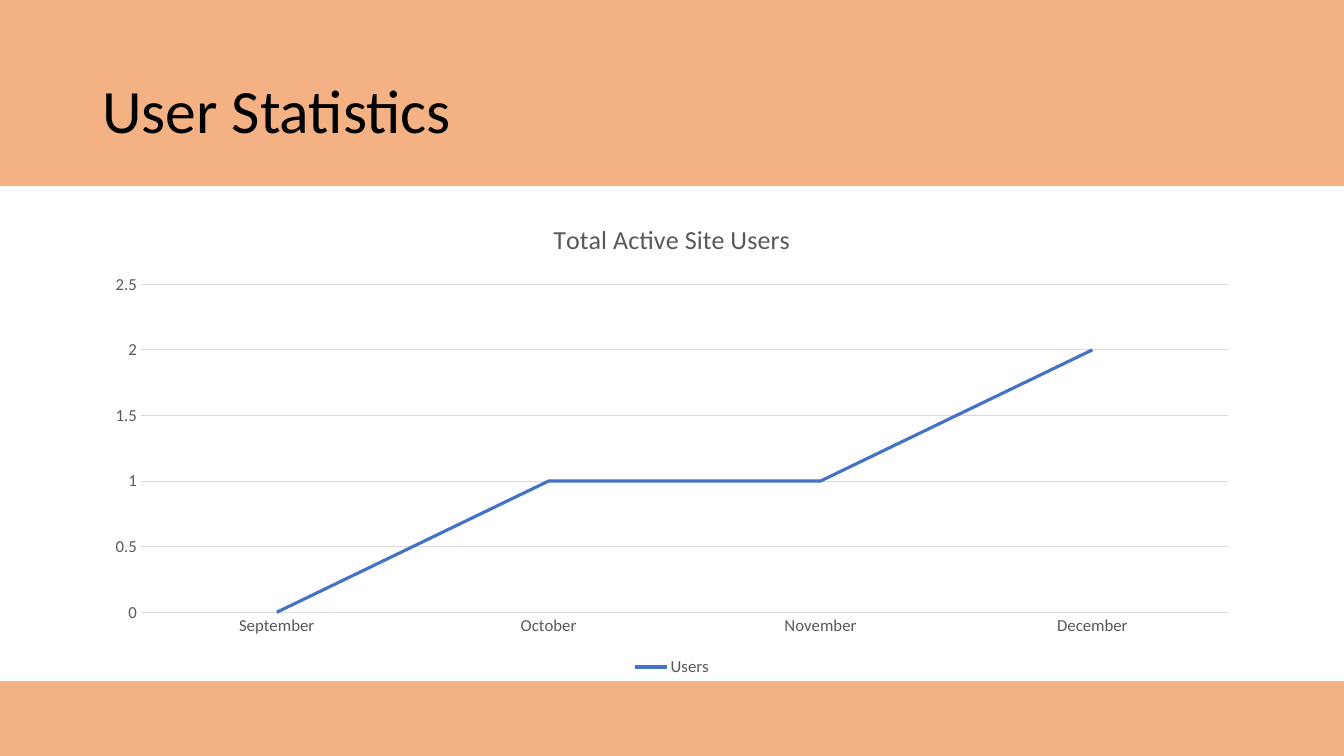
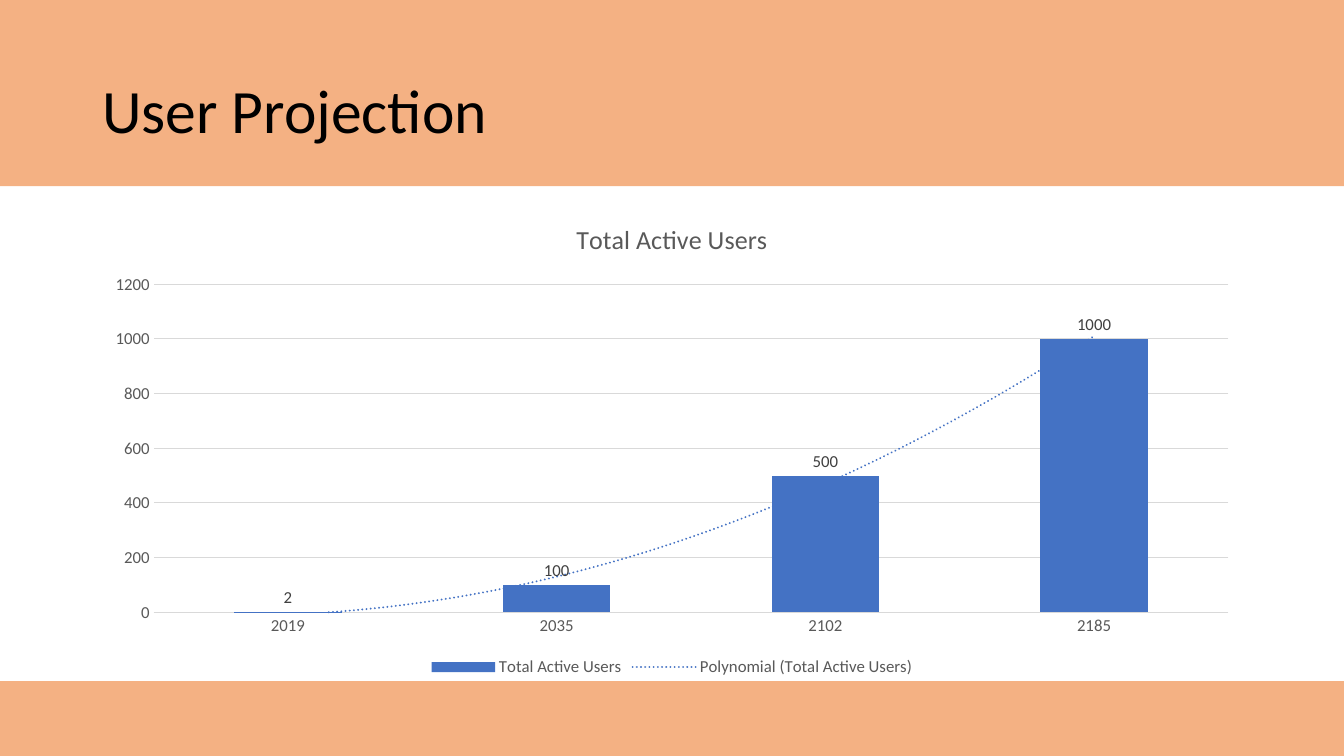
from dataclasses import dataclass

from lxml.etree import fromstring
from pptx import Presentation
from pptx.chart.data import CategoryChartData as ChartData
from pptx.dml.color import RGBColor as Color
from pptx.enum.chart import XL_CHART_TYPE as ChartType
from pptx.enum.chart import XL_LABEL_POSITION as LabelPosition
from pptx.enum.chart import XL_LEGEND_POSITION as LegendPosition
from pptx.enum.chart import XL_MARKER_STYLE as Marker
from pptx.enum.chart import XL_TICK_MARK as TickMark
from pptx.enum.shapes import MSO_SHAPE as Shape
from pptx.enum.text import MSO_ANCHOR as Anchor
from pptx.util import Pt


@dataclass(frozen=True)
class Theme:
    font: str = "Calibri"
    band: str = "F4B183"
    title: str = "000000"
    series: str = "4472C4"
    chart_text: str = "595959"
    data_label: str = "404040"
    grid: str = "D9D9D9"
    title_size: float = 44
    chart_title_size: float = 18.6
    chart_text_size: float = 12


theme = Theme()
WIDTH, HEIGHT = 960, 540
MARGIN = 66
CONTENT_WIDTH = WIDTH - 2 * MARGIN
BAND_BOTTOM = 133
FOOTER_TOP = 486.5
TITLE_TOP = 28.75
CHART_TOP = 144

TRENDLINE = f"""
<c:trendline xmlns:c="http://schemas.openxmlformats.org/drawingml/2006/chart"
             xmlns:a="http://schemas.openxmlformats.org/drawingml/2006/main">
  <c:spPr>
    <a:ln w="{Pt(1.5)}" cap="rnd">
      <a:solidFill><a:srgbClr val="{theme.series}"/></a:solidFill>
      <a:prstDash val="sysDot"/>
    </a:ln>
  </c:spPr>
  <c:trendlineType val="poly"/>
  <c:order val="2"/>
  <c:dispRSqr val="0"/>
  <c:dispEq val="0"/>
</c:trendline>"""

SLIDES = [
    ("User Statistics", "Total Active Site Users", ChartType.LINE, "Users",
     ["September", "October", "November", "December"], [0, 1, 1, 2]),
    ("User Projection", "Total Active Users", ChartType.COLUMN_CLUSTERED, "Total Active Users",
     ["2019", "2035", "2102", "2185"], [2, 100, 500, 1000]),
]


def style_font(font, size, color):
    font.name = theme.font
    font.size = Pt(size)
    font.bold = False
    font.color.rgb = Color.from_string(color)


def style_line(line, width, color):
    line.width = Pt(width)
    line.color.rgb = Color.from_string(color)


deck = Presentation()
deck.slide_width, deck.slide_height = Pt(WIDTH), Pt(HEIGHT)

for heading, chart_title, chart_type, series_name, categories, values in SLIDES:
    page = deck.slides.add_slide(deck.slide_layouts[6])

    for top, bottom in [(FOOTER_TOP, HEIGHT), (0, BAND_BOTTOM)]:
        band = page.shapes.add_shape(Shape.RECTANGLE, 0, Pt(top), Pt(WIDTH), Pt(bottom - top))
        band.shadow.inherit = False
        band.fill.solid()
        band.fill.fore_color.rgb = Color.from_string(theme.band)
        band.line.fill.background()

    box = page.shapes.add_textbox(Pt(MARGIN), Pt(TITLE_TOP), Pt(CONTENT_WIDTH),
                                  Pt(BAND_BOTTOM - TITLE_TOP))
    box.text_frame.word_wrap = True
    box.text_frame.vertical_anchor = Anchor.MIDDLE
    box.text_frame.text = heading
    para = box.text_frame.paragraphs[0]
    para.line_spacing = 0.9
    style_font(para.runs[0].font, theme.title_size, theme.title)

    data = ChartData()
    data.categories = categories
    data.add_series(series_name, values)
    chart = page.shapes.add_chart(chart_type, Pt(MARGIN), Pt(CHART_TOP), Pt(CONTENT_WIDTH),
                                  Pt(FOOTER_TOP - CHART_TOP), data).chart
    style_font(chart.font, theme.chart_text_size, theme.chart_text)

    chart.has_title = True
    chart.chart_title.include_in_layout = False
    chart.chart_title.text_frame.text = chart_title
    span = chart.chart_title.text_frame.paragraphs[0].runs[0]
    style_font(span.font, theme.chart_title_size, theme.chart_text)

    chart.has_legend = True
    chart.legend.position = LegendPosition.BOTTOM
    chart.legend.include_in_layout = False
    style_font(chart.legend.font, theme.chart_text_size, theme.chart_text)

    for axis in (chart.category_axis, chart.value_axis):
        axis.major_tick_mark = axis.minor_tick_mark = TickMark.NONE
        style_font(axis.tick_labels.font, theme.chart_text_size, theme.chart_text)
    style_line(chart.category_axis.format.line, 0.75, theme.grid)
    chart.value_axis.format.line.fill.background()
    chart.value_axis.has_major_gridlines = True
    style_line(chart.value_axis.major_gridlines.format.line, 0.75, theme.grid)

    plot = chart.plots[0]
    plot.vary_by_categories = False
    series = plot.series[0]
    if chart_type == ChartType.LINE:
        series.smooth = False
        series.marker.style = Marker.NONE
        style_line(series.format.line, 2.25, theme.series)
    else:
        plot.gap_width = 150
        series.format.fill.solid()
        series.format.fill.fore_color.rgb = Color.from_string(theme.series)
        labels = series.data_labels
        labels.show_value = True
        labels.position = LabelPosition.OUTSIDE_END
        style_font(labels.font, theme.chart_text_size, theme.data_label)
        series_xml = series._element
        series_xml.find("{*}cat").addprevious(fromstring(TRENDLINE))

deck.save("out.pptx")
